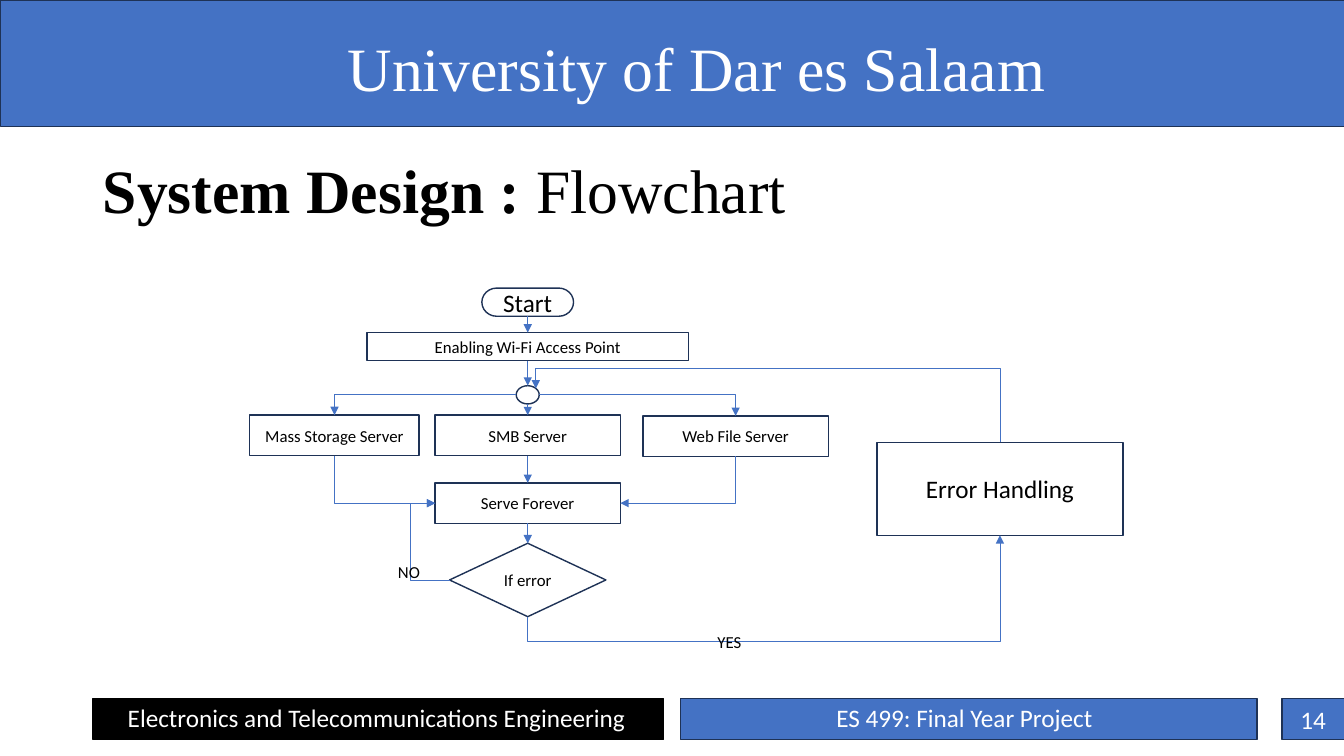
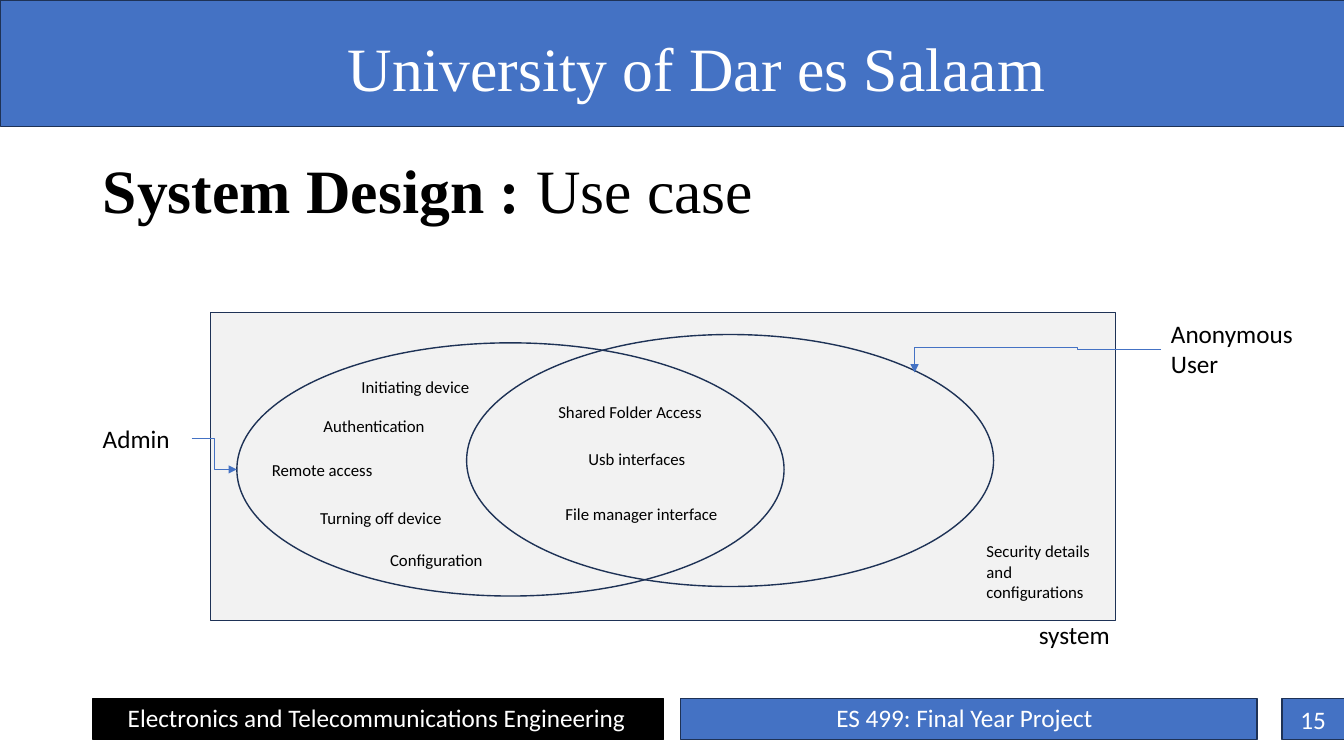
"""Build two system design slides: a flowchart and a use case diagram."""
import pptx
import pptx.dml.color
import pptx.enum.shapes
import pptx.enum.text
import pptx.oxml
import pptx.oxml.ns
import pptx.util

Cm = pptx.util.Cm
SHAPE = pptx.enum.shapes.MSO_SHAPE
CONNECTOR = pptx.enum.shapes.MSO_CONNECTOR
ALIGN = pptx.enum.text.PP_ALIGN
ANCHOR = pptx.enum.text.MSO_ANCHOR

COLORS = {
    "blue": "4472C4",
    "navy": "1E3256",
    "black": "000000",
    "white": "FFFFFF",
    "gray": "F2F2F2",
}
SERIF = "Times New Roman"
SANS = "Calibri"

SITES = {
    "top": (0.5, 0),
    "left": (0, 0.5),
    "bottom": (0.5, 1),
    "right": (1, 0.5),
    "top_right": (0.85, 0.15),
}
RECT_SITES = {"top": 0, "left": 1, "bottom": 2, "right": 3}
OVAL_SITES = {"top": 0, "left": 2, "bottom": 4, "right": 6, "top_right": 7}


def rgb(name):
    return pptx.dml.color.RGBColor.from_string(COLORS[name])


def add_text(p, text, size=18, font=SANS, color="black", bold=False, align=ALIGN.LEFT):
    p.alignment = align
    r = p.add_run()
    r.text = text
    r.font.size = pptx.util.Pt(size)
    r.font.name = font
    r.font.bold = bold
    r.font.color.rgb = rgb(color)


def add_box(slide, kind, left, top, width, height, fill="white", line="navy",
            weight=1, text=None, **style):
    sp = slide.shapes.add_shape(kind, Cm(left), Cm(top), Cm(width), Cm(height))
    sp.shadow.inherit = False
    if fill:
        sp.fill.solid()
        sp.fill.fore_color.rgb = rgb(fill)
    else:
        sp.fill.background()
    sp.line.color.rgb = rgb(line)
    sp.line.width = pptx.util.Pt(weight)
    if text:
        tf = sp.text_frame
        tf.word_wrap = True
        tf.vertical_anchor = ANCHOR.MIDDLE
        add_text(tf.paragraphs[0], text, align=ALIGN.CENTER, **style)
    return sp


def add_label(slide, text, left, top, width, height=0.76, wrap=True, **style):
    sp = slide.shapes.add_textbox(Cm(left), Cm(top), Cm(width), Cm(height))
    sp.text_frame.word_wrap = wrap
    add_text(sp.text_frame.paragraphs[0], text, **style)
    return sp


def site_index(sp, site):
    oval = (sp.shape_type == pptx.enum.shapes.MSO_SHAPE_TYPE.AUTO_SHAPE
            and sp.auto_shape_type == SHAPE.OVAL)
    return (OVAL_SITES if oval else RECT_SITES)[site]


def site_point(sp, site):
    fx, fy = SITES[site]
    return sp.left + sp.width * fx, sp.top + sp.height * fy


def add_arrow(slide, start, start_site, end, end_site, bends=None):
    x1, y1 = site_point(start, start_site)
    x2, y2 = site_point(end, end_site)
    dx, dy = x2 - x1, y2 - y1
    if bends is None:
        preset, rot, u, v = "straightConnector1", 0, dx, dy
    else:
        preset = f"bentConnector{len(bends) + 2}"
        if start_site in ("left", "right"):
            rot, u, v = (0, dx, dy) if dx > 0 else (180, -dx, -dy)
        else:
            rot, u, v = (90, dy, -dx) if dx * dy < 0 else (270, -dy, dx)

    style = CONNECTOR.STRAIGHT if bends is None else CONNECTOR.ELBOW
    cxn = slide.shapes.add_connector(style, 0, 0, 0, 0)
    cxn.begin_connect(start, 0)
    cxn.end_connect(end, 0)
    cxn.left = round((x1 + x2 - abs(u)) / 2)
    cxn.top = round((y1 + y2 - abs(v)) / 2)
    cxn.width, cxn.height = round(abs(u)), round(abs(v))
    cxn.line.color.rgb = rgb("blue")
    cxn.line.width = pptx.util.Pt(0.5)

    el = cxn._element
    el.xpath(".//a:stCxn")[0].set("idx", str(site_index(start, start_site)))
    el.xpath(".//a:endCxn")[0].set("idx", str(site_index(end, end_site)))
    xfrm = el.xpath("./p:spPr/a:xfrm")[0]
    xfrm.set("rot", str(rot * 60000))
    xfrm.set("flipH", str(int(u < 0)))
    xfrm.set("flipV", str(int(v < 0)))
    el.xpath(".//a:prstGeom")[0].set("prst", preset)
    guides = el.xpath(".//a:avLst")[0]
    ns = pptx.oxml.ns.nsdecls("a")
    for i, bend in enumerate(bends or (), 1):
        guides.append(pptx.oxml.parse_xml(
            f'<a:gd {ns} name="adj{i}" fmla="val {round(bend * 100000)}"/>'))
    el.xpath(".//a:ln")[0].append(
        pptx.oxml.parse_xml(f'<a:tailEnd {ns} type="triangle"/>'))
    el.spPr.append(pptx.oxml.parse_xml(f"<a:effectLst {ns}/>"))


def add_header(slide, topic):
    add_box(slide, SHAPE.RECTANGLE, 0, 0, 33.87, 3.18, fill="blue", weight=0.25)
    add_label(slide, "University of Dar es Salaam", 8.51, 0.64, 19.79, 2.13,
              size=44, font=SERIF, color="white")
    title = slide.shapes.title
    title.left, title.top, title.width, title.height = map(Cm, (2.34, 3.57, 29, 2.59))
    tf = title.text_frame
    tf.auto_size = pptx.enum.text.MSO_AUTO_SIZE.NONE
    tf.vertical_anchor = ANCHOR.MIDDLE
    p = tf.paragraphs[0]
    p.line_spacing = 0.9
    add_text(p, "System Design : ", size=44, font=SERIF, bold=True)
    add_text(p, topic, size=44, font=SERIF)


def add_footer(slide, number, top=17.6, height=1.04):
    rect = SHAPE.RECTANGLE
    add_box(slide, rect, 2.34, top, 14.38, height, fill="black", line="black")
    add_box(slide, rect, 17.15, top, 14.53, height, fill="blue")
    add_box(slide, rect, 32.31, top, 1.57, height, fill="blue",
            text=str(number), color="white")
    add_label(slide, "Electronics and Telecommunications Engineering",
              2.97, top - 0.02, 13.13, 1.02, color="white")
    add_label(slide, "ES 499: Final Year Project", 20.83, top - 0.02, 7.04, 1.02,
              wrap=False, color="white")


def add_flowchart(slide, left, top):
    spine, mass_x, web_x, error_x = 7, 2.13, 12.24, 18.9

    def step(kind, center, y, width, height, text=None, size=12):
        return add_box(slide, kind, left + center - width / 2, top + y,
                       width, height, text=text, size=size)

    rect = SHAPE.RECTANGLE
    start = step(SHAPE.FLOWCHART_TERMINATOR, spine, 0, 2.31, 0.71, "Start", 18)
    enable = step(rect, spine, 1.12, 8.1, 0.71, "Enabling Wi-Fi Access Point")
    hub = step(SHAPE.OVAL, spine, 2.46, 0.58, 0.46)
    mass = step(rect, mass_x, 3.2, 4.27, 1.02, "Mass Storage Server")
    smb = step(rect, spine, 3.2, 4.67, 1.02, "SMB Server")
    web = step(rect, web_x, 3.22, 4.67, 1.02, "Web File Server")
    serve = step(rect, spine, 4.91, 4.67, 1.02, "Serve Forever")
    check = step(SHAPE.DIAMOND, spine, 6.43, 3.94, 1.85, "If error")
    error = step(rect, error_x, 3.89, 6.2, 2.34, "Error Handling", 18)

    column = [start, enable, hub, smb, serve, check]
    for upper, lower in zip(column, column[1:]):
        add_arrow(slide, upper, "bottom", lower, "top")
    for server, side in ((mass, "left"), (web, "right")):
        add_arrow(slide, hub, side, server, "top", bends=())
        add_arrow(slide, server, "bottom", serve, side, bends=())
    add_arrow(slide, check, "left", serve, "left", bends=(2.68,))
    add_arrow(slide, check, "bottom", error, "bottom", bends=(-0.31,))
    add_arrow(slide, error, "top", hub, "top_right", bends=(1.37,))

    add_label(slide, "NO", left + 3.48, top + 6.76, 1.37, size=12)
    add_label(slide, "YES", left + 11.53, top + 8.54, 2.11, size=12)


def add_use_case(slide, left, top, width, height):
    add_box(slide, SHAPE.RECTANGLE, left, top, width, height, fill="gray")
    user_area = add_box(slide, SHAPE.OVAL, left + 6.45, top + 0.56, 13.28, 6.35, fill=None)
    admin_area = add_box(slide, SHAPE.OVAL, left + 0.66, top + 0.77, 13.79, 6.38, fill=None)

    add_label(slide, "system", left + width - 2.19, top + height - 0.15, 2.44, 1.02)
    admin = add_label(slide, "Admin", left - 2.97, top + 2.67, 2.49, 1.02)
    user = add_label(slide, "Anonymous User", left + width + 1.14, top + 0.03, 3.81, 1.8)
    add_arrow(slide, admin, "right", admin_area, "left", bends=(0.5,))
    add_arrow(slide, user, "left", user_area, "top_right", bends=(0.34, -0.1))

    uses = [
        ("Initiating device", 3.55, 1.5, 3.35),
        ("Authentication", 2.59, 2.47, 3.18),
        ("Remote access", 1.29, 3.59, 3.3),
        ("Turning off device", 2.51, 4.8, 3.94),
        ("Configuration", 4.27, 5.87, 3.53),
        ("Shared Folder Access", 8.51, 2.14, 4.52),
        ("Usb interfaces", 9.27, 3.31, 3.23),
        ("File manager interface", 8.69, 4.7, 4.39),
        ("Security details and configurations", 19.3, 5.64, 3.28),
    ]
    for text, x, y, w in uses:
        add_label(slide, text, left + x, top + y, w, size=12)


def add_slide(prs, topic, number):
    slide = prs.slides.add_slide(prs.slide_layouts[5])
    add_header(slide, topic)
    add_footer(slide, number)
    return slide


def main():
    prs = pptx.Presentation()
    prs.slide_width, prs.slide_height = Cm(33.87), Cm(19.05)
    add_flowchart(add_slide(prs, "Flowchart", 14), 6.3, 7.26)
    add_use_case(add_slide(prs, "Use case", 15), 5.31, 7.87, 22.81, 7.77)
    prs.save("out.pptx")


if __name__ == "__main__":
    main()
